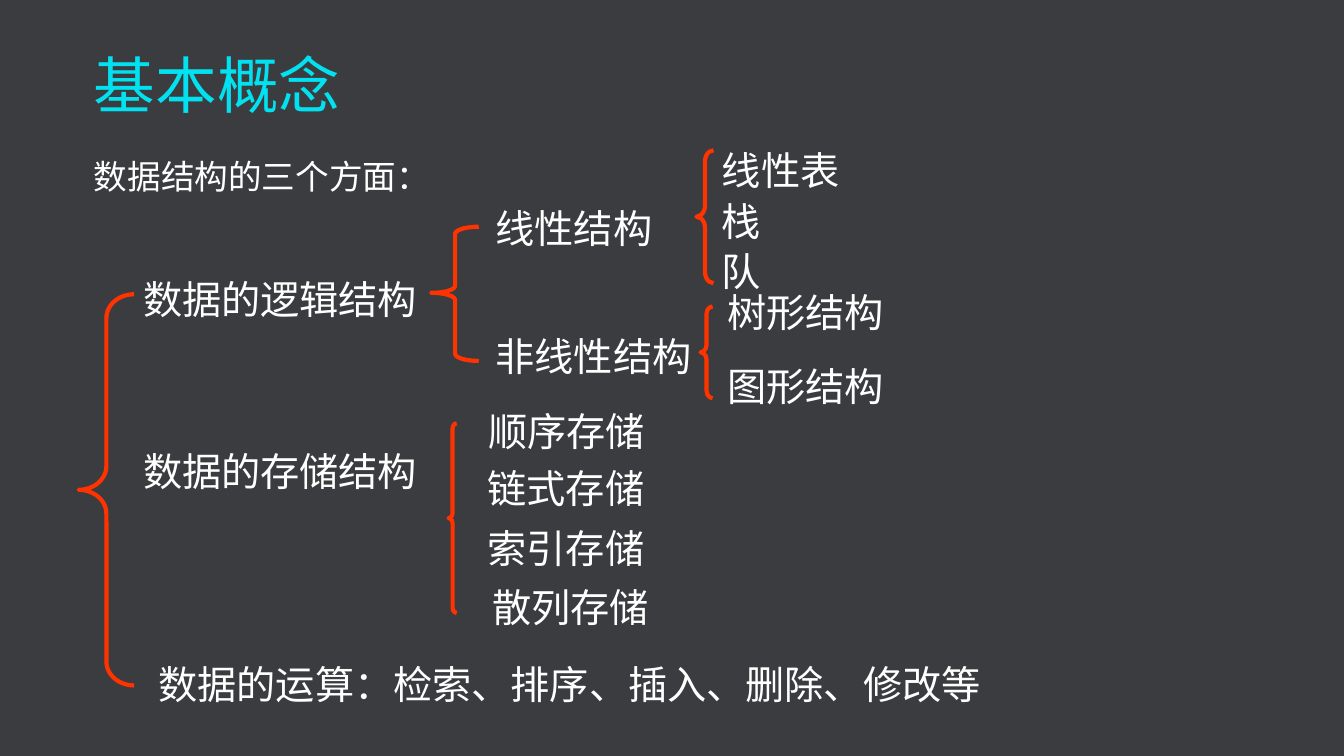
"""Build a slide that maps the three aspects of data structures."""
from dataclasses import dataclass

from pptx import Presentation
from pptx.dml.color import RGBColor
from pptx.enum.shapes import MSO_SHAPE
from pptx.enum.text import MSO_ANCHOR, PP_ALIGN
from pptx.oxml.xmlchemy import OxmlElement
from pptx.slide import Slide
from pptx.util import Pt

BRACE = MSO_SHAPE.LEFT_BRACE
TOP, MID = MSO_ANCHOR.TOP, MSO_ANCHOR.MIDDLE
LEFT, CENTER = PP_ALIGN.LEFT, PP_ALIGN.CENTER
GRAY = RGBColor(0x3A, 0x3C, 0x3F)
CYAN = RGBColor(0x01, 0xE1, 0xEF)
WHITE = RGBColor(0xFF, 0xFF, 0xFF)
RED = RGBColor(0xFF, 0x33, 0x00)
SANS = "Noto Sans CJK SC"
SERIF = "Times New Roman"


@dataclass(frozen=True)
class Box:
    x: float
    y: float
    w: float
    h: float


@dataclass(frozen=True)
class Label:
    text: str
    x: float
    y: float
    w: float


@dataclass(frozen=True)
class Brace:
    box: Box
    curve: float
    point: float = 0.5


LABELS = [
    Label("数据的逻辑结构", 87.8, 193, 224.6),
    Label("数据的存储结构", 87.8, 316, 224.6),
    Label("数据的运算：检索、排序、插入、删除、修改等", 102.3, 468, 609),
    Label("线性结构", 339.8, 142, 140.4),
    Label("非线性结构", 343.3, 233.5, 161.3),
    Label("顺序存储", 338.3, 287, 133.2),
    Label("链式存储", 320, 328, 168.5),
    Label("索引存储", 320, 370.5, 168.5),
    Label("散列存储", 323.5, 413, 168.5),
    Label("线性表", 508.3, 101, 98.6),
    Label("栈", 508.3, 137, 42.5),
    Label("队", 508.3, 173, 42.5),
    Label("树形结构", 512, 202.5, 126.7),
    Label("图形结构", 512, 255, 126.7),
]
BRACES = [
    Brace(Box(56.2, 210.2, 39.6, 279.4), 0.428),
    Brace(Box(320.4, 302.4, 5.8, 135.4), 0.608),
    Brace(Box(308.2, 162, 33.8, 95.8), 0.149, 0.493),
    Brace(Box(497.5, 107.3, 12.2, 95), 0.656),
    Brace(Box(500.4, 218.9, 8.6, 65.5), 0.608),
]


def write(slide: Slide, text: str, box: Box, *, size: float = 28,
          font: str = SERIF, color: RGBColor = WHITE, align: PP_ALIGN = CENTER,
          anchor: MSO_ANCHOR = MID, wrap: bool = False, lead: float = 1) -> None:
    """Add a text box with one formatted line."""
    shape = slide.shapes.add_textbox(Pt(box.x), Pt(box.y), Pt(box.w), Pt(box.h))
    frame = shape.text_frame
    frame.word_wrap = wrap
    frame.vertical_anchor = anchor
    frame.margin_top = frame.margin_bottom = 0
    para = frame.paragraphs[0]
    para.alignment = align
    para.line_spacing = lead
    run = para.add_run()
    run.text = text
    run.font.size = Pt(size)
    run.font.name = font
    run.font.color.rgb = color
    east = OxmlElement("a:ea")
    east.set("typeface", SANS)
    run.font._element.append(east)


def draw(slide: Slide, brace: Brace) -> None:
    """Add one red left brace."""
    box = brace.box
    shape = slide.shapes.add_shape(BRACE, Pt(box.x), Pt(box.y), Pt(box.w), Pt(box.h))
    shape.adjustments[0] = brace.curve
    shape.adjustments[1] = brace.point
    shape.shadow.inherit = False
    shape.fill.background()
    shape.line.color.rgb = RED
    shape.line.width = Pt(3)


def main() -> None:
    """Build and save the slide."""
    deck = Presentation()
    deck.slide_width, deck.slide_height = Pt(960), Pt(540)
    slide = deck.slides.add_slide(deck.slide_layouts[6])
    slide.background.fill.solid()
    slide.background.fill.fore_color.rgb = GRAY
    write(slide, "基本概念", Box(60, 33.5, 841, 64), size=44, font=SANS,
          color=CYAN, align=LEFT, anchor=TOP, wrap=True)
    write(slide, "数据结构的三个方面：", Box(60, 99.5, 763, 353), size=24,
          font=SANS, align=LEFT, anchor=TOP, wrap=True, lead=1.4)
    for brace in BRACES:
        draw(slide, brace)
    for label in LABELS:
        write(slide, label.text, Box(label.x, label.y, label.w, 41))
    deck.save("out.pptx")


if __name__ == "__main__":
    main()
